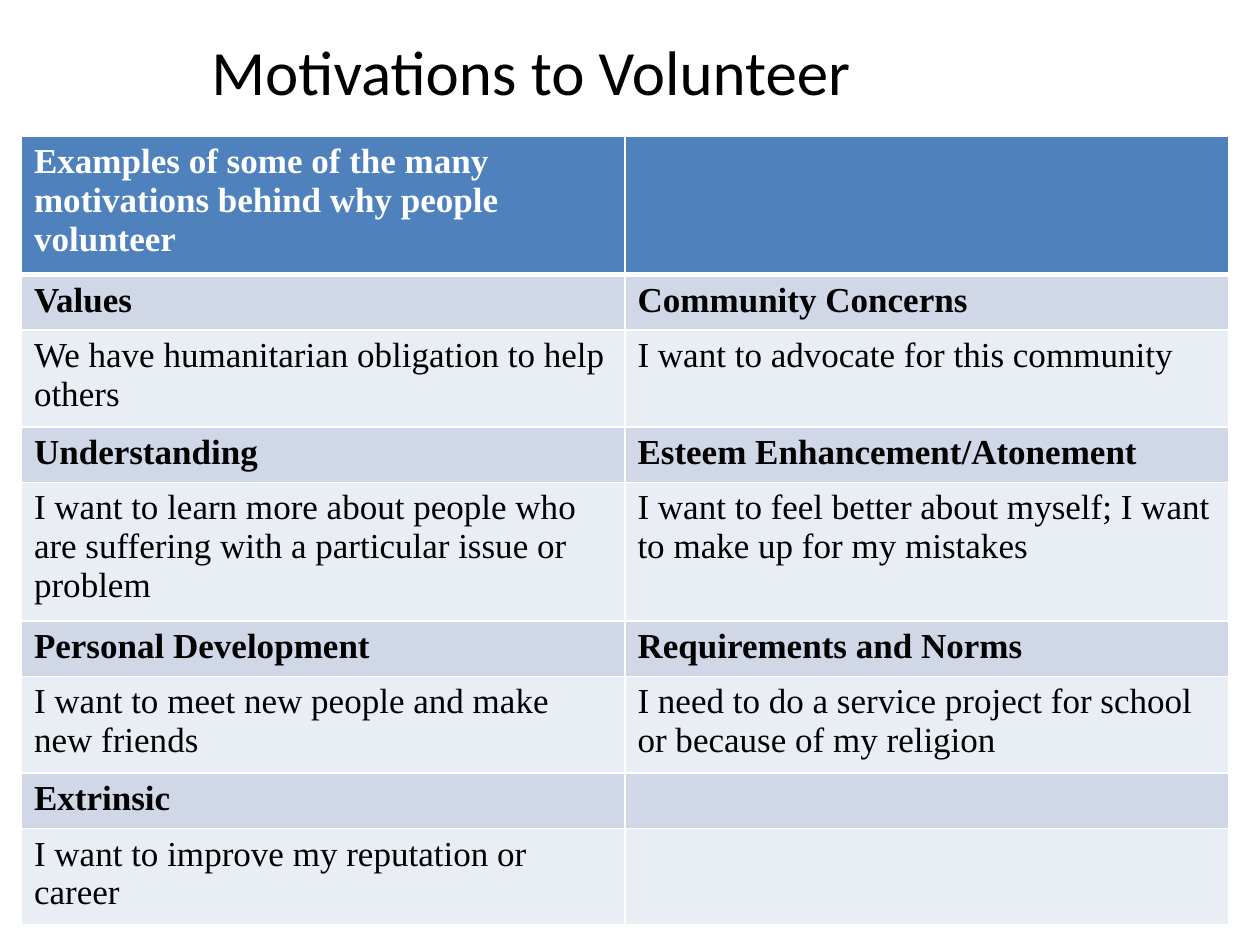
from typing import NamedTuple

from lxml.etree import SubElement
from pptx import Presentation
from pptx.dml.color import RGBColor
from pptx.enum.text import MSO_ANCHOR
from pptx.oxml.ns import qn
from pptx.util import Inches, Pt

BLACK = RGBColor(0x00, 0x00, 0x00)
WHITE = RGBColor(0xFF, 0xFF, 0xFF)
HEADER_BLUE = RGBColor(0x4F, 0x81, 0xBD)
CATEGORY_BLUE = RGBColor(0xD0, 0xD8, 0xE8)
EXAMPLE_BLUE = RGBColor(0xE9, 0xED, 0xF4)


class RowStyle(NamedTuple):
    fill: RGBColor
    color: RGBColor
    bold: bool


class MotivationRow(NamedTuple):
    style: RowStyle
    height: float
    texts: tuple[str, str]


HEADER = RowStyle(HEADER_BLUE, WHITE, True)
CATEGORY = RowStyle(CATEGORY_BLUE, BLACK, True)
EXAMPLE = RowStyle(EXAMPLE_BLUE, BLACK, False)

ROWS = [
    MotivationRow(HEADER, 1.09, (
        "Examples of some of the many motivations behind why people volunteer", "")),
    MotivationRow(CATEGORY, 0.44, ("Values", "Community Concerns")),
    MotivationRow(EXAMPLE, 0.76, (
        "We have humanitarian obligation to help others",
        "I want to advocate for this community")),
    MotivationRow(CATEGORY, 0.44, ("Understanding", "Esteem Enhancement/Atonement")),
    MotivationRow(EXAMPLE, 1.09, (
        "I want to learn more about people who are suffering with a particular issue or problem",
        "I want to feel better about myself; I want to make up for my mistakes")),
    MotivationRow(CATEGORY, 0.44, ("Personal Development", "Requirements and Norms")),
    MotivationRow(EXAMPLE, 0.76, (
        "I want to meet new people and make new friends",
        "I need to do a service project for school or because of my religion")),
    MotivationRow(CATEGORY, 0.44, ("Extrinsic", "")),
    MotivationRow(EXAMPLE, 0.72, ("I want to improve my reputation or career", "")),
]


def format_font(font, color: RGBColor, **values) -> None:
    for name, value in values.items():
        setattr(font, name, value)
    font.color.rgb = color


def add_borders(cell, top: float, bottom: float) -> None:
    """Draw white cell borders; top and bottom widths are in points."""
    properties = cell._tc.get_or_add_tcPr()
    for side, width in {"lnL": 1, "lnR": 1, "lnT": top, "lnB": bottom}.items():
        line = SubElement(properties, qn(f"a:{side}"), w=str(Pt(width)))
        fill = SubElement(line, qn("a:solidFill"))
        SubElement(fill, qn("a:srgbClr"), val=str(WHITE))


def add_title(slide) -> None:
    title = slide.shapes.add_textbox(
        Inches(1.58), Inches(-0.17), Inches(7.83), Inches(1.08))
    frame = title.text_frame
    frame.word_wrap = True
    frame.vertical_anchor = MSO_ANCHOR.BOTTOM
    paragraph = frame.paragraphs[0]
    paragraph.text = "Motivations to Volunteer"
    paragraph.line_spacing = Pt(34)
    format_font(paragraph.runs[0].font, BLACK, name="Calibri", size=Pt(36))


def add_motivation_table(slide, rows: list[MotivationRow]) -> None:
    table = slide.shapes.add_table(
        len(rows), 2, Inches(0.17), Inches(1.08), Inches(9.58),
        Inches(sum(row.height for row in rows))).table
    for index, row in enumerate(rows):
        table.rows[index].height = Inches(row.height)
        for column, text in enumerate(row.texts):
            cell = table.cell(index, column)
            add_borders(cell, top=3 if index == 1 else 1, bottom=3 if index == 0 else 1)
            cell.fill.solid()
            cell.fill.fore_color.rgb = row.style.fill
            if text:
                cell.text = text
                format_font(
                    cell.text_frame.paragraphs[0].runs[0].font, row.style.color,
                    name="Times New Roman", size=Pt(20), bold=row.style.bold)


def main() -> None:
    presentation = Presentation()
    presentation.slide_width = Inches(10)
    presentation.slide_height = Inches(7.5)
    slide = presentation.slides.add_slide(presentation.slide_layouts[6])
    add_title(slide)
    add_motivation_table(slide, ROWS)
    presentation.save("out.pptx")


if __name__ == "__main__":
    main()
